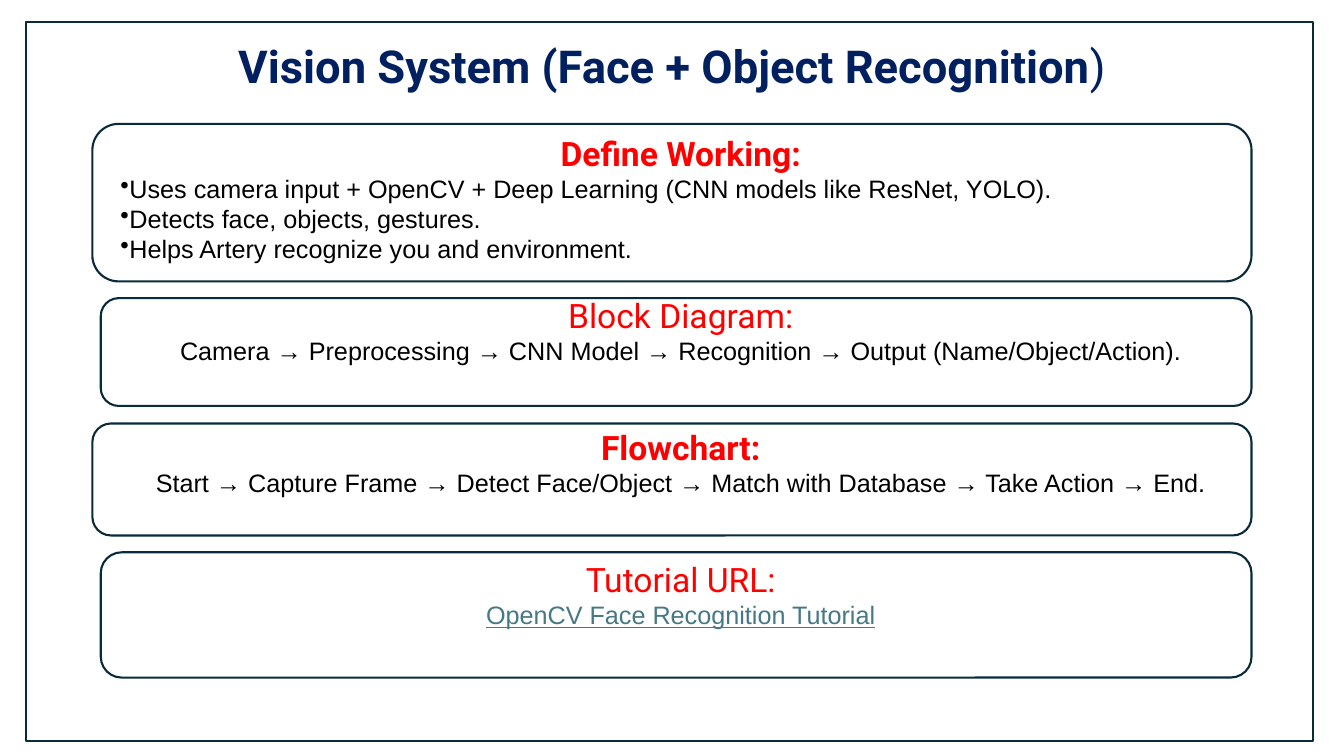
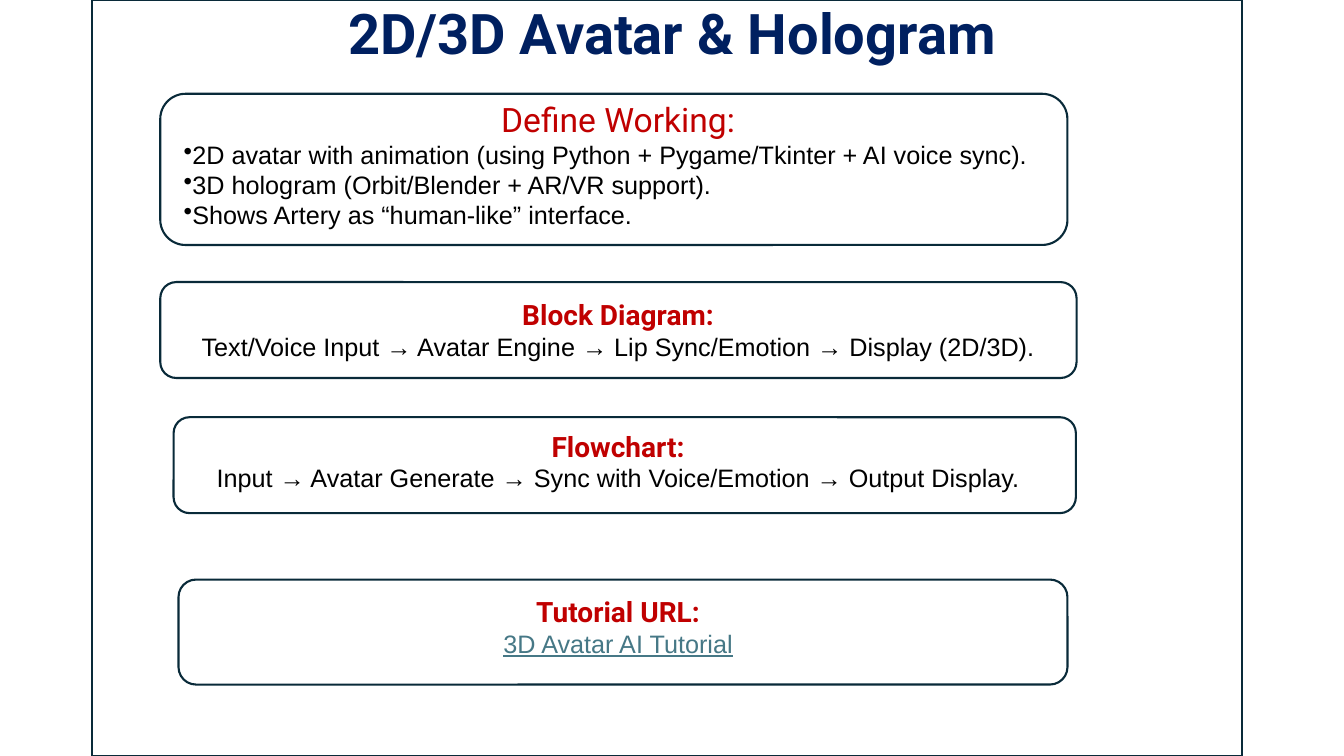
"""Build two slides that outline the modules of an assistant."""
import pptx
import pptx.util
import pptx.dml.color
import pptx.enum.shapes
import pptx.enum.text
import lxml.etree
from pptx.oxml.ns import qn

Pt = pptx.util.Pt
RGBColor = pptx.dml.color.RGBColor
SHAPE = pptx.enum.shapes.MSO_SHAPE
ANCHOR = pptx.enum.text.MSO_ANCHOR
CENTER = pptx.enum.text.PP_ALIGN.CENTER
LEFT = pptx.enum.text.PP_ALIGN.LEFT

NAVY = RGBColor(0x00, 0x20, 0x60)
RED = RGBColor(0xFF, 0x00, 0x00)
DARK_RED = RGBColor(0xC0, 0x00, 0x00)
BLACK = RGBColor(0x00, 0x00, 0x00)
TEAL = RGBColor(0x46, 0x78, 0x86)
OUTLINE = RGBColor(0x09, 0x2A, 0x39)

TITLE = {"name": "Roboto", "bold": True}
HEADING = {"name": "Roboto"}
TEXT = {"name": "Arial", "size": Pt(18), "bold": False}
LINE_HEIGHT = 21.6

SLIDES = [
    {
        "title": [("Vision System (Face + Object Recognition", True), (")", False)],
        "title_size": 32.4,
        "title_box": (66, 29, 828, 41),
        "body_box": (79, 94.9, 814.5, 357),
        "accent": RED,
        "gap": 22,
        "blocks": [
            ("Define Working:", 24, True, 0, "bullets", [
                "Uses camera input + OpenCV + Deep Learning (CNN models like ResNet, YOLO).",
                "Detects face, objects, gestures.",
                "Helps Artery recognize you and environment."]),
            ("Block Diagram:", 24, False, 1, "flow", [
                "Camera → Preprocessing → CNN Model → Recognition → Output (Name/Object/Action)."]),
            ("Flowchart:", 24, True, 2, "flow", [
                "Start → Capture Frame → Detect Face/Object → Match with Database → Take Action → End."]),
            ("Tutorial URL:", 24, False, 2, "link", ["OpenCV Face Recognition Tutorial"]),
        ],
        "cards": [(66, 88.5, 828, 112.5), (72, 213, 822, 77),
                  (66, 302.5, 828, 80), (72, 394.5, 822, 89.5)],
        "frame": (18.5, 16, 919.5, 513.5),
    },
    {
        "title": [("2D/3D Avatar & Hologram", True)],
        "title_size": 40,
        "title_box": (66, -6, 828, 63.5),
        "body_box": (124, 70.5, 635, 400),
        "accent": DARK_RED,
        "gap": 24.2,
        "blocks": [
            ("Define Working:", 24, False, 0, "bullets", [
                "2D avatar with animation (using Python + Pygame/Tkinter + AI voice sync).",
                "3D hologram (Orbit/Blender + AR/VR support).",
                "Shows Artery as “human-like” interface."]),
            ("Block Diagram:", 20, True, 2, "flow", [
                "Text/Voice Input → Avatar Engine → Lip Sync/Emotion → Display (2D/3D)."]),
            ("Flowchart:", 20, True, 2, "flow", [
                "Input → Avatar Generate → Sync with Voice/Emotion → Output Display."]),
            ("Tutorial URL:", 20, True, 3, "link", ["3D Avatar AI Tutorial"]),
        ],
        "cards": [(114.5, 67, 648, 108), (114.5, 201.5, 654.5, 68.5),
                  (124, 298, 644.5, 68.5), (127.5, 414, 635, 75)],
        "frame": (66, 0, 821.5, 540),
    },
]


def add_run(p, text, color, **format_values):
    """Append a run with the given font values."""
    r = p.add_run()
    r.text = text
    r.font.color.rgb = color
    for key, value in format_values.items():
        setattr(r.font, key, value)


def add_text_box(s, box, anchor):
    """Add a wrapping text box and return its text frame."""
    tf = s.shapes.add_textbox(*map(Pt, box)).text_frame
    values = {"word_wrap": True, "vertical_anchor": anchor,
              "margin_top": 0, "margin_bottom": 0}
    for key, value in values.items():
        setattr(tf, key, value)
    return tf


def add_bullet(p):
    """Give a paragraph a round bullet without a hanging indent."""
    bullet = lxml.etree.SubElement(p._p.get_or_add_pPr(), qn("a:buChar"))
    bullet.set("char", "•")


def add_title(s, slide):
    """Add the centred slide title."""
    p = add_text_box(s, slide["title_box"], ANCHOR.MIDDLE).paragraphs[0]
    p.alignment = CENTER
    p.line_spacing = 0.9
    for text, bold in slide["title"]:
        add_run(p, text, NAVY, **{**TITLE, "size": Pt(slide["title_size"]), "bold": bold})


def add_body(s, slide):
    """Add the headed blocks of text, spaced by whole gaps."""
    tf = add_text_box(s, slide["body_box"], ANCHOR.TOP)
    for i, (heading, size, bold, gaps, kind, lines) in enumerate(slide["blocks"]):
        p = tf.add_paragraph() if i else tf.paragraphs[0]
        p.alignment = CENTER
        if gaps:
            p.space_before = Pt(gaps * slide["gap"])
        add_run(p, heading, slide["accent"], size=Pt(size), bold=bold, **HEADING)
        for line in lines:
            p = tf.add_paragraph()
            p.alignment = LEFT if kind == "bullets" else CENTER
            p.line_spacing = Pt(LINE_HEIGHT)
            if kind == "bullets":
                add_bullet(p)
            is_link = kind == "link"
            add_run(p, line, TEAL if is_link else BLACK, underline=is_link, **TEXT)


def add_outline(s, preset, box):
    """Add an unfilled outlined shape."""
    sp = s.shapes.add_shape(preset, *map(Pt, box))
    sp.shadow.inherit = False
    sp.fill.background()
    sp.line.color.rgb = OUTLINE
    sp.line.width = Pt(1.5)


def main():
    """Build and save the presentation."""
    prs = pptx.Presentation()
    prs.slide_width, prs.slide_height = Pt(960), Pt(540)
    for slide in SLIDES:
        s = prs.slides.add_slide(prs.slide_layouts[6])
        add_title(s, slide)
        add_body(s, slide)
        for card in slide["cards"]:
            add_outline(s, SHAPE.ROUNDED_RECTANGLE, card)
        add_outline(s, SHAPE.RECTANGLE, slide["frame"])
    prs.save("out.pptx")


if __name__ == "__main__":
    main()
